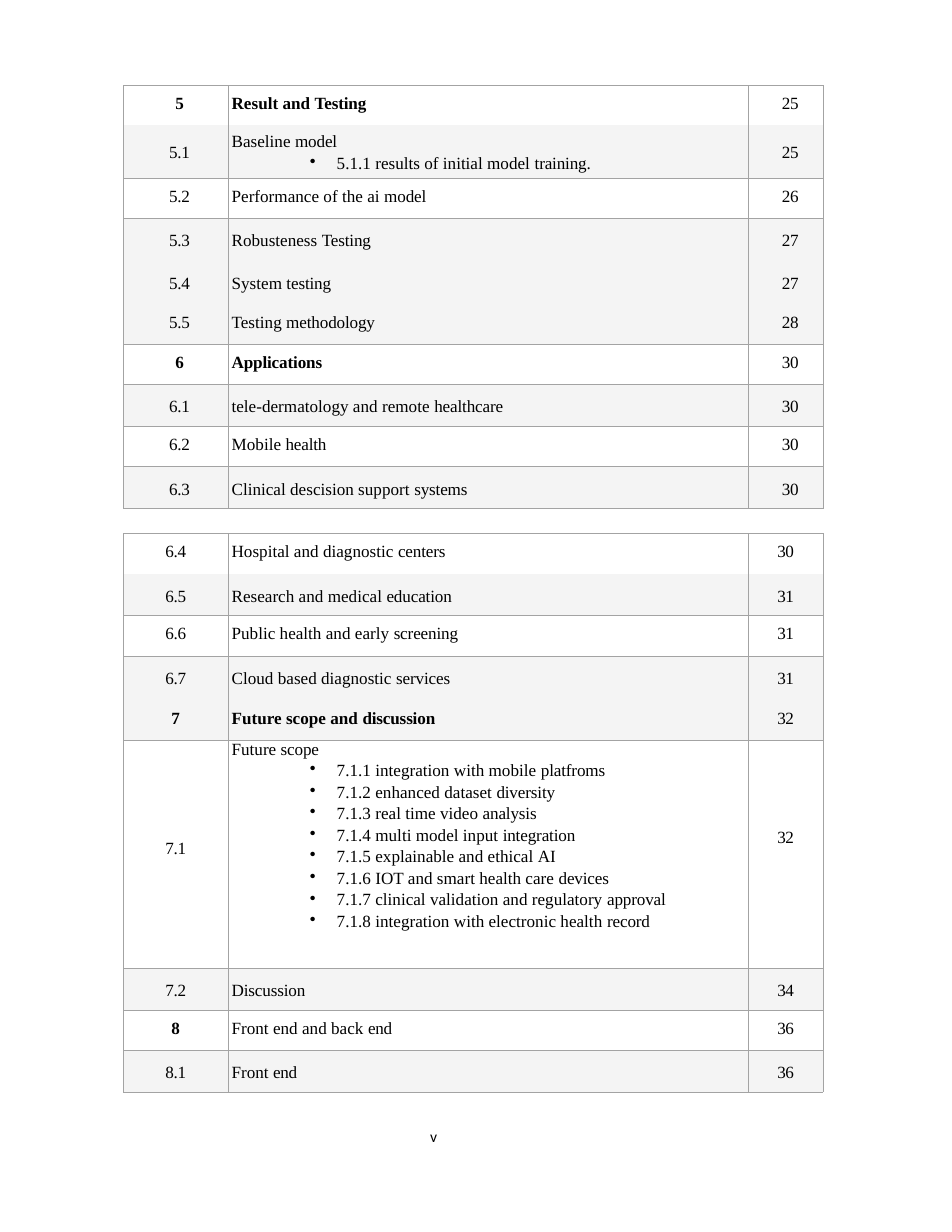
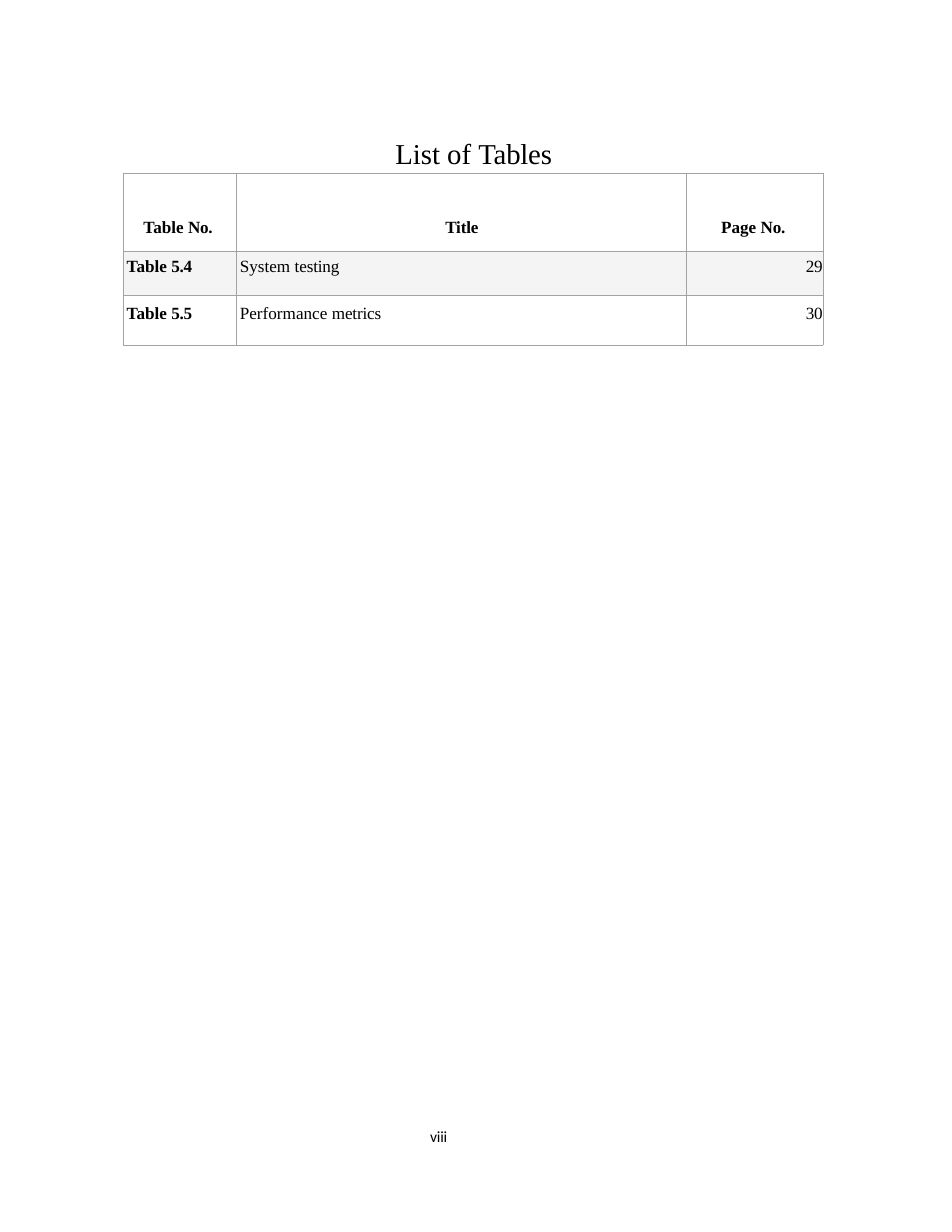
from dataclasses import dataclass
from typing import Optional

from lxml.etree import SubElement
from pptx import Presentation
from pptx.dml.color import RGBColor
from pptx.enum.text import MSO_ANCHOR, MSO_AUTO_SIZE, PP_ALIGN
from pptx.oxml.ns import qn
from pptx.util import Pt

BLACK = RGBColor(0x00, 0x00, 0x00)
RULE_GREY = RGBColor(0xA3, 0xA3, 0xA3)
BAND_GREY = RGBColor(0xF4, 0xF4, 0xF4)
SERIF = "Times New Roman"
SANS = "Calibri"
BODY_SIZE = 11
TABLE_LEFT = 79.2
CONTENTS_WIDTHS = (67.5, 334.3, 48.2)
LIST_WIDTHS = (72.8, 289.3, 87.6)
PLAIN_STYLE = "{2D5ABB26-0587-4C30-8999-92F81FD0307C}"
LEFT, CENTER, RIGHT = PP_ALIGN.LEFT, PP_ALIGN.CENTER, PP_ALIGN.RIGHT


@dataclass(frozen=True)
class Line:
    text: str
    bold: bool = False
    align: PP_ALIGN = LEFT
    indent: float = 2.2
    before: float = 0
    bulleted: bool = False


@dataclass(frozen=True)
class Cell:
    lines: list[Line]
    top: float


@dataclass(frozen=True)
class Row:
    height: float
    cells: list[Cell]
    shaded: bool = False
    ruled: bool = True


@dataclass(frozen=True)
class Entry:
    number: str
    title: str
    page: str
    bold_number: bool = False
    bold_title: bool = False
    points: tuple[str, ...] = ()


@dataclass(frozen=True)
class Group:
    """One table row holding one or more contents entries."""
    height: float
    entries: tuple[Entry, ...]
    shaded: bool = False
    ruled: bool = True
    tops: Optional[tuple[float, float, float]] = None


def chapter(number: str, title: str, page: str) -> Entry:
    return Entry(number, title, page, True, True)


RESULTS = (
    Group(25.7, (chapter("5", "Result and Testing", "25"),), ruled=False),
    Group(34, (Entry("5.1", "Baseline model", "25",
                     points=("5.1.1 results of initial model training.",)),),
          shaded=True, tops=(11.9, 4.7, 11.9)),
    Group(25.7, (Entry("5.2", "Performance of the ai model", "26"),)),
    Group(27.2, (Entry("5.3", "Robusteness Testing", "27"),), shaded=True, ruled=False),
    Group(53.8, (Entry("5.4", "System testing", "27"),
                 Entry("5.5", "Testing methodology", "28")), shaded=True),
    Group(25.7, (chapter("6", "Applications", "30"),)),
    Group(27, (Entry("6.1", "tele-dermatology and remote healthcare", "30"),), shaded=True),
    Group(26.2, (Entry("6.2", "Mobile health", "30"),)),
    Group(27, (Entry("6.3", "Clinical descision support systems", "30"),), shaded=True),
)

FUTURE = (
    Group(26, (Entry("6.4", "Hospital and diagnostic centers", "30"),), ruled=False),
    Group(26.4, (Entry("6.5", "Research and medical education", "31"),), shaded=True),
    Group(26.4, (Entry("6.6", "Public health and early screening", "31"),)),
    Group(54, (Entry("6.7", "Cloud based diagnostic services", "31"),
               chapter("7", "Future scope and discussion", "32")), shaded=True),
    Group(146.6, (Entry("7.1", "Future scope", "32", points=(
        "7.1.1 integration with mobile platfroms",
        "7.1.2 enhanced dataset diversity",
        "7.1.3 real time video analysis",
        "7.1.4 multi model input integration",
        "7.1.5 explainable and ethical AI",
        "7.1.6 IOT and smart health care devices",
        "7.1.7 clinical validation and regulatory approval",
        "7.1.8 integration with electronic health record",
    )),), tops=(64, 0, 57)),
    Group(27, (Entry("7.2", "Discussion", "34"),), shaded=True),
    Group(26, (Entry("8", "Front end and back end", "36", bold_number=True),)),
    Group(27, (Entry("8.1", "Front end", "36"),), shaded=True),
)


def contents_rows(groups: tuple[Group, ...], number_indent: float,
                  page_indent: float) -> list[Row]:
    rows = []
    for group in groups:
        numbers, titles, pages = [], [], []
        for position, entry in enumerate(group.entries):
            gap = 13.4 if position else 0
            numbers.append(Line(entry.number, entry.bold_number, CENTER, number_indent, gap))
            titles.append(Line(entry.title, entry.bold_title, before=gap))
            titles += [Line(point, indent=69.8, before=1.6, bulleted=True)
                       for point in entry.points]
            pages.append(Line(entry.page, False, CENTER, page_indent, gap))
        tops = group.tops or (8.7 if group.shaded else 5.8,) * 3
        cells = [Cell(lines, top) for lines, top in zip((numbers, titles, pages), tops)]
        rows.append(Row(group.height, cells, group.shaded, group.ruled))
    return rows


def listed_row(height: float, top: float, label: str, title: str, page: str,
               shaded: bool = False) -> Row:
    lines = (Line(label, bold=True), Line(title), Line(page, align=RIGHT, indent=0))
    return Row(height, [Cell([line], top) for line in lines], shaded)


LIST_HEADINGS = (
    Line("Table No.", True, indent=13),
    Line("Title", True, CENTER, 0.7),
    Line("Page No.", True, indent=22.3),
)
TABLE_LIST = [
    Row(50.1, [Cell([heading], 29.2) for heading in LIST_HEADINGS]),
    listed_row(28.3, 3.9, "Table 5.4", "System testing", "29", shaded=True),
    listed_row(32.1, 5.8, "Table 5.5", "Performance metrics", "30"),
]


def write_line(paragraph, line: Line, font: str = SERIF, size: float = BODY_SIZE) -> None:
    """Write the line with its last word set slightly tighter."""
    paragraph.alignment = line.align
    paragraph.space_before = Pt(line.before)
    properties = paragraph._p.get_or_add_pPr()
    properties.set("marL", str(Pt(line.indent)))
    properties.set("indent", str(Pt(-17.3 if line.bulleted else 0)))
    bullet = SubElement(properties, qn("a:buChar" if line.bulleted else "a:buNone"))
    if line.bulleted:
        bullet.set("char", "•")
    opening, space, last_word = line.text.rpartition(" ")
    tightening = -20 if len(last_word) <= 3 else -10
    for text, tracking in ((opening + space, 0), (last_word, tightening)):
        if not text:
            continue
        run = paragraph.add_run()
        run.text = text
        run.font.name = font
        run.font.size = Pt(size)
        run.font.bold = line.bold
        run.font.color.rgb = BLACK
        run._r.get_or_add_rPr().set("spc", str(tracking))


def clear_margins(frame, top: float = 0) -> None:
    frame.margin_left = frame.margin_right = frame.margin_bottom = 0
    frame.margin_top = Pt(top)
    frame.vertical_anchor = MSO_ANCHOR.TOP


def draw_borders(cell, top: bool, bottom: bool) -> None:
    properties = cell._tc.get_or_add_tcPr()
    for side, visible in (("L", True), ("R", True), ("T", top), ("B", bottom)):
        border = SubElement(properties, qn(f"a:ln{side}"), w=str(Pt(0.25)))
        if visible:
            fill = SubElement(border, qn("a:solidFill"))
            SubElement(fill, qn("a:srgbClr"), val=str(RULE_GREY))
        else:
            SubElement(border, qn("a:noFill"))


def draw_table(slide, top: float, widths: tuple[float, ...], rows: list[Row]) -> None:
    height = sum(row.height for row in rows)
    frame = slide.shapes.add_table(len(rows), len(widths), Pt(TABLE_LEFT), Pt(top),
                                   Pt(sum(widths)), Pt(height))
    table = frame.table
    table.first_row = table.horz_banding = False
    table._tbl.tblPr.find(qn("a:tableStyleId")).text = PLAIN_STYLE
    for column, width in zip(table.columns, widths):
        column.width = Pt(width)
    ruled_above = True
    for row_index, row in enumerate(rows):
        table.rows[row_index].height = Pt(row.height)
        for column_index, content in enumerate(row.cells):
            cell = table.cell(row_index, column_index)
            clear_margins(cell, content.top)
            draw_borders(cell, ruled_above, row.ruled)
            if row.shaded:
                cell.fill.solid()
                cell.fill.fore_color.rgb = BAND_GREY
            else:
                cell.fill.background()
            frame_text = cell.text_frame
            for index, line in enumerate(content.lines):
                write_line(frame_text.add_paragraph() if index else frame_text.paragraphs[0],
                           line)
        ruled_above = row.ruled


def add_page_number(slide, numeral: str) -> None:
    box = slide.shapes.add_textbox(Pt(136.8), Pt(725.8), Pt(289.4), Pt(25.2))
    frame = box.text_frame
    frame.word_wrap = True
    clear_margins(frame)
    paragraph = frame.paragraphs[0]
    paragraph.line_spacing = Pt(10.8)
    write_line(paragraph, Line(numeral, indent=139.7), SANS, 10)


def set_title(slide, text: str) -> None:
    title = slide.shapes.title
    title.left, title.top, title.width, title.height = Pt(253.4), Pt(85.7), Pt(106), Pt(24.5)
    frame = title.text_frame
    frame.word_wrap = True
    frame.auto_size = MSO_AUTO_SIZE.NONE
    clear_margins(frame, 1.4)
    write_line(frame.paragraphs[0], Line(text, indent=0.7), size=18.5)


def main() -> None:
    deck = Presentation()
    deck.slide_width, deck.slide_height = Pt(612), Pt(792)
    title_only, blank = deck.slide_layouts[5], deck.slide_layouts[6]

    contents = deck.slides.add_slide(blank)
    add_page_number(contents, "v")
    draw_table(contents, 54.8, CONTENTS_WIDTHS, contents_rows(RESULTS, 5, 5.8))
    draw_table(contents, 342.8, CONTENTS_WIDTHS, contents_rows(FUTURE, 0, 0))

    table_list = deck.slides.add_slide(title_only)
    add_page_number(table_list, "viii")
    set_title(table_list, "List of Tables")
    draw_table(table_list, 111.2, LIST_WIDTHS, TABLE_LIST)

    deck.save("out.pptx")


if __name__ == "__main__":
    main()
